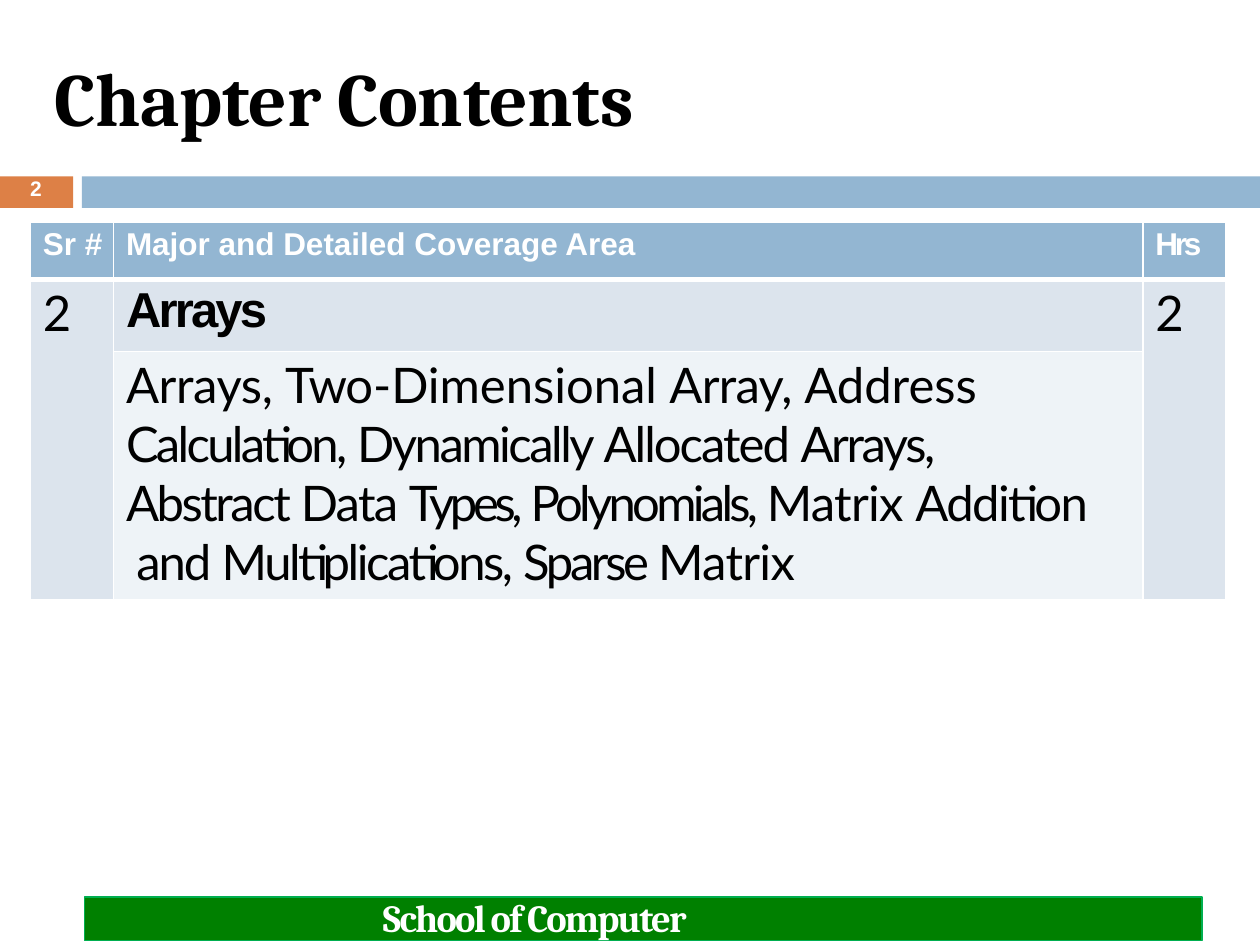
from dataclasses import dataclass
from typing import NamedTuple

from lxml import etree
from pptx import Presentation
from pptx import util as u
from pptx.dml.color import RGBColor
from pptx.enum import shapes, text
from pptx.oxml.ns import qn

SLIDE_W, SLIDE_H = u.Inches(10), u.Inches(7.5)


@dataclass(frozen=True)
class Theme:
    orange: str = "DD8046"
    blue: str = "93B6D2"
    band: str = "DCE4ED"
    pale: str = "EEF3F7"
    green: str = "008000"
    green_edge: str = "00AF50"
    white: str = "FFFFFF"
    black: str = "000000"
    serif: str = "Cambria"
    sans: str = "Arial"
    body: str = "Lato"
    title_size: float = 43
    body_size: float = 28
    footer_size: float = 22
    header_size: float = 18
    number_size: float = 12


class Box(NamedTuple):
    """Place and size in percent of the slide."""
    left: float
    top: float
    width: float
    height: float

    def emu(self) -> tuple:
        return (across(self.left), down(self.top),
                across(self.width), down(self.height))


class Cell(NamedTuple):
    row: int
    col: int
    content: list
    fill: str
    style: dict


THEME = Theme()
BREAK = "\n"


def across(percent: float) -> int:
    return round(SLIDE_W * percent / 100)


def down(percent: float) -> int:
    return round(SLIDE_H * percent / 100)


def write(frame, pieces: list, *, font: str, size: float, color: str,
          bold: bool = False, inset_top: float = 0, indent: float = 0,
          line_points: float = 0) -> None:
    """Fill a frame with (words, letter spacing in points) pieces."""
    frame.word_wrap = True
    paragraph = frame.paragraphs[0]
    paragraph.alignment = text.PP_ALIGN.LEFT
    if line_points:
        paragraph.line_spacing = u.Pt(line_points)
    properties = paragraph._p.get_or_add_pPr()
    properties.set("marL", str(u.Inches(indent)))
    properties.set("indent", "0")
    frame.margin_left = frame.margin_right = frame.margin_bottom = 0
    frame.margin_top = u.Inches(inset_top)
    for words, spacing in pieces:
        if words == BREAK:
            paragraph.add_line_break()
            continue
        run = paragraph.add_run()
        run.text = words
        run.font.name, run.font.size, run.font.bold = font, u.Pt(size), bold
        run.font.color.rgb = RGBColor.from_string(color)
        run._r.get_or_add_rPr().set("spc", str(round(spacing * 100)))


def add_bar(slide, box: Box, fill: str, edge: str = "") -> None:
    bar = slide.shapes.add_shape(shapes.MSO_SHAPE.RECTANGLE, *box.emu())
    bar.shadow.inherit = False
    bar.fill.solid()
    bar.fill.fore_color.rgb = RGBColor.from_string(fill)
    if edge:
        bar.line.color.rgb = RGBColor.from_string(edge)
        bar.line.width = u.Pt(1)
    else:
        bar.line.fill.background()


def add_label(slide, box: Box, words: str, spacing: float, **style) -> None:
    label = slide.shapes.add_textbox(*box.emu())
    write(label.text_frame, [(words, spacing)], **style)


def paint_cell(cell, row: int, fill: str) -> None:
    """White borders, thick under the header row, then the fill."""
    widths = {"lnL": 1, "lnR": 1, "lnT": 3 if row == 1 else 1,
              "lnB": 3 if row == 0 else 1}
    properties = cell._tc.get_or_add_tcPr()
    for side, points in widths.items():
        line = etree.SubElement(properties, qn(f"a:{side}"), w=str(u.Pt(points)))
        solid = etree.SubElement(line, qn("a:solidFill"))
        etree.SubElement(solid, qn("a:srgbClr"), val=THEME.white)
    cell.fill.solid()
    cell.fill.fore_color.rgb = RGBColor.from_string(fill)


def add_contents_table(slide, left: float, top: float, columns: list,
                       rows: list, cells: list) -> None:
    box = Box(left, top, sum(columns), sum(rows))
    table = slide.shapes.add_table(len(rows), len(columns), *box.emu()).table
    table.horz_banding = False
    for column, width in zip(table.columns, columns):
        column.width = across(width)
    for row, height in zip(table.rows, rows):
        row.height = down(height)
    for outer in (0, 2):
        table.cell(1, outer).merge(table.cell(2, outer))
        paint_cell(table.cell(2, outer), 2, THEME.band)
    for item in cells:
        cell = table.cell(item.row, item.col)
        paint_cell(cell, item.row, item.fill)
        write(cell.text_frame, item.content, indent=0.1, **item.style)
        # Cell margins belong to the cell, not to its text frame
        cell.margin_left = cell.margin_right = cell.margin_bottom = 0
        cell.margin_top = u.Inches(0.04 if item.row == 0 else 0.03)
        body = cell._tc.txBody.find(qn("a:bodyPr"))
        body.attrib.clear()


def main() -> None:
    deck = Presentation()
    deck.slide_width, deck.slide_height = SLIDE_W, SLIDE_H
    slide = deck.slides.add_slide(deck.slide_layouts[5])

    # Title
    title = slide.shapes.title
    title.left, title.top, title.width, title.height = Box(4.2, 5.33, 47.5, 9.87).emu()
    title.text_frame.vertical_anchor = text.MSO_ANCHOR.TOP
    title.text_frame.auto_size = text.MSO_AUTO_SIZE.NONE
    write(title.text_frame, [("Chapter Contents", -0.1)], font=THEME.serif,
          size=THEME.title_size, color=THEME.black, bold=True,
          inset_top=0.01, indent=0.01)

    # Band below the title, with the page number
    add_bar(slide, Box(0, 18.67, 5.8, 3.33), THEME.orange)
    add_bar(slide, Box(6.5, 18.67, 93.5, 3.33), THEME.blue)
    add_label(slide, Box(2.3, 18.4, 1.2, 3.07), "2", -0.3, font=THEME.sans,
              size=THEME.number_size, color=THEME.white, bold=True,
              inset_top=0.01, indent=0.01)

    # Contents table
    header = dict(font=THEME.sans, size=THEME.header_size,
                  color=THEME.white, bold=True)
    body = dict(font=THEME.body, size=THEME.body_size, color=THEME.black)
    topic = dict(body, font=THEME.sans, bold=True)
    coverage = [
        ("Arrays, ", -0.2), ("Two", -0.7), ("-Dimensional ", 0),
        ("Array, ", -0.4), ("Address", 0), (BREAK, 0),
        ("Calculation, ", -1.5), ("Dynamically ", -1.4),
        ("Allocated ", -1.1), ("Arrays,", -1.4), (BREAK, 0),
        ("Abstract ", -1.4), ("Data ", -1), ("Types, ", -2.5),
        ("Polynomials, ", -2.1), ("Matrix ", -0.4), ("Addition", -0.9),
        (BREAK, 0), (" and ", -1.2), ("Multiplications, ", -1.4),
        ("Sparse ", -1.9), ("Matrix", -0.4),
    ]
    cells = [
        Cell(0, 0, [("Sr #", 0)], THEME.blue, header),
        Cell(0, 1, [("Major and Detailed Coverage Area", 0)], THEME.blue, header),
        Cell(0, 2, [("Hrs", -1.8)], THEME.blue, header),
        Cell(1, 0, [("2", 0)], THEME.band, body),
        Cell(1, 1, [("Arrays", -1.6)], THEME.band, topic),
        Cell(1, 2, [("2", 0)], THEME.band, body),
        Cell(2, 1, coverage, THEME.pale, body),
    ]
    add_contents_table(slide, 2.4, 23.47, [6.6, 81.7, 6.6],
                       [6.13, 7.6, 26.27], cells)

    # Footer
    add_bar(slide, Box(6.7, 94.93, 88.7, 4.6), THEME.green, THEME.green_edge)
    add_label(slide, Box(30.3, 95.33, 41.6, 4.4), "School of Computer", -1,
              font=THEME.serif, size=THEME.footer_size, color=THEME.white,
              bold=True, indent=0.01, line_points=22.5)

    deck.save("out.pptx")


if __name__ == "__main__":
    main()
